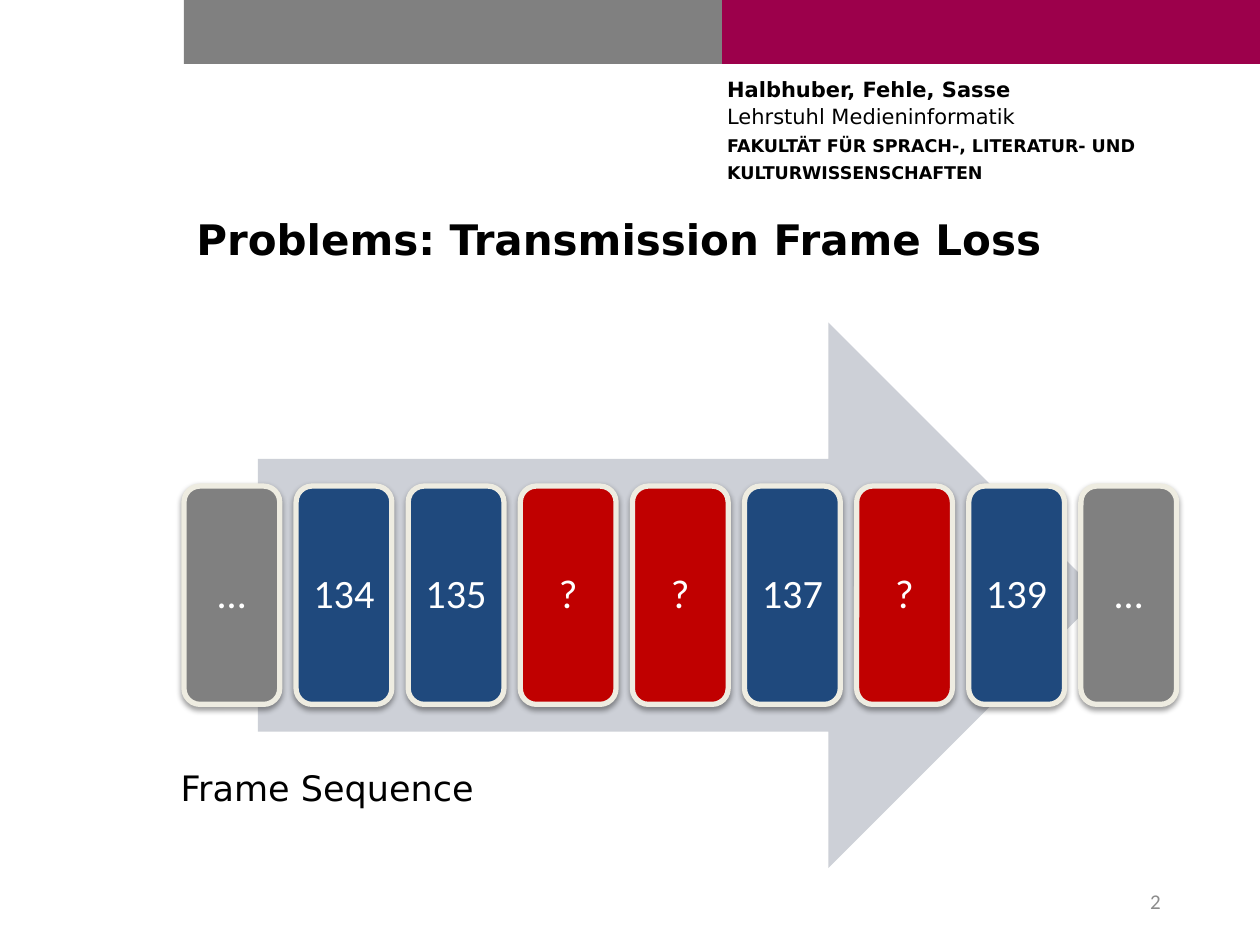
import pptx
import pptx.util
import pptx.dml.color
import pptx.enum.shapes
import pptx.enum.text
import pptx.oxml
import pptx.oxml.ns

Cm = pptx.util.Cm
Pt = pptx.util.Pt
RGB = pptx.dml.color.RGBColor
KIND = pptx.enum.shapes.MSO_SHAPE
ALIGN = pptx.enum.text.PP_ALIGN
ANCHOR = pptx.enum.text.MSO_ANCHOR

GRAY = RGB(0x80, 0x80, 0x80)
WINE = RGB(0x9C, 0x00, 0x4B)
BLUE = RGB(0x1F, 0x49, 0x7D)
RED = RGB(0xC0, 0x00, 0x00)
CREAM = RGB(0xEE, 0xEC, 0xE1)
PALE = RGB(0xCD, 0xD0, 0xD7)
DIM = RGB(0x8C, 0x8C, 0x8C)
WHITE = RGB(0xFF, 0xFF, 0xFF)
BLACK = RGB(0x00, 0x00, 0x00)

SANS = "DejaVu Sans"
BODY = "Calibri"

HEAD = [
    [("Halbhuber, Fehle, Sasse", 12, True), ("Lehrstuhl Medieninformatik", 12, False)],
    [("FAKULTÄT FÜR SPRACH-, LITERATUR- UND", 10, True)],
    [("KULTURWISSENSCHAFTEN", 10, True)],
]
TITLE = "Problems: Transmission Frame Loss"
LABEL = "Frame Sequence"
PAGE = "2"
FRAMES = ["…", "134", "135", "?", "?", "137", "?", "139", "…"]
FILLS = {"…": GRAY, "?": RED}

LEFT = 3.71
BAR = 10.85
STEP = 2.26
SHADOW = (
    '<a:effectLst %s><a:outerShdw blurRad="40000" dist="20000" dir="5400000" rotWithShape="0">'
    '<a:srgbClr val="000000"><a:alpha val="38000"/></a:srgbClr></a:outerShdw></a:effectLst>'
    % pptx.oxml.ns.nsdecls("a")
)


def style(run, size, color, font, bold=False):
    run.font.size = Pt(size)
    run.font.color.rgb = color
    run.font.name = font
    run.font.bold = bold


def add_box(slide, box):
    frame = slide.shapes.add_textbox(*map(Cm, box)).text_frame
    frame.word_wrap = True
    return frame


def add_line(slide, box, text, size, color, font, bold=False):
    frame = add_box(slide, box)
    frame.text = text
    style(frame.paragraphs[0].runs[0], size, color, font, bold)
    return frame


def add_shape(slide, kind, box, fill):
    shape = slide.shapes.add_shape(kind, *map(Cm, box))
    shape.shadow.inherit = False
    shape.fill.solid()
    shape.fill.fore_color.rgb = fill
    shape.line.fill.background()
    return shape


def add_head(slide):
    frame = add_box(slide, (14.66, 1.52, 10.26, 2.39))
    frame.margin_left = frame.margin_right = frame.margin_top = frame.margin_bottom = 0
    frame.text = "\n".join("\v".join(part[0] for part in row) for row in HEAD)
    for para, row in zip(frame.paragraphs, HEAD):
        para.space_after = Pt(3)
        para.line_spacing = 1.05
        for run, (text, size, bold) in zip(para.runs, row):
            style(run, size, BLACK, SANS, bold)


def add_card(slide, spot, text):
    box = (LEFT + spot * STEP, 9.8, 1.93, 4.4)
    card = add_shape(slide, KIND.ROUNDED_RECTANGLE, box, FILLS.get(text, BLUE))
    card.line.color.rgb = CREAM
    card.line.width = Pt(3)
    props = card.element.spPr
    old = props.find(pptx.oxml.ns.qn("a:effectLst"))
    props.replace(old, pptx.oxml.parse_xml(SHADOW))
    frame = card.text_frame
    frame.margin_left = frame.margin_right = 0
    frame.vertical_anchor = ANCHOR.MIDDLE
    frame.text = text
    para = frame.paragraphs[0]
    para.alignment = ALIGN.CENTER
    para.line_spacing = 0.9
    style(para.runs[0], 23, WHITE, BODY)


def main():
    deck = pptx.Presentation()
    deck.slide_width = Cm(25.4)
    deck.slide_height = Cm(19.05)
    slide = deck.slides.add_slide(deck.slide_layouts[6])

    for spot, fill in enumerate((GRAY, WINE)):
        add_shape(slide, KIND.RECTANGLE, (LEFT + spot * BAR, 0, BAR, 1.29), fill)
    add_head(slide)
    add_line(slide, (LEFT, 4.17, 19.96, 1.93), TITLE, 24, BLACK, SANS, True)

    page = add_line(slide, (17.93, 17.65, 5.72, 1.02), PAGE, 12, DIM, BODY)
    page.vertical_anchor = ANCHOR.MIDDLE
    page.paragraphs[0].alignment = ALIGN.RIGHT

    add_shape(slide, KIND.RIGHT_ARROW, (5.2, 6.5, 17, 11), PALE)
    for spot, text in enumerate(FRAMES):
        add_card(slide, spot, text)
    add_line(slide, (3.39, 15.32, 14.6, 1.11), LABEL, 20, BLACK, SANS)

    deck.save("out.pptx")


if __name__ == "__main__":
    main()
